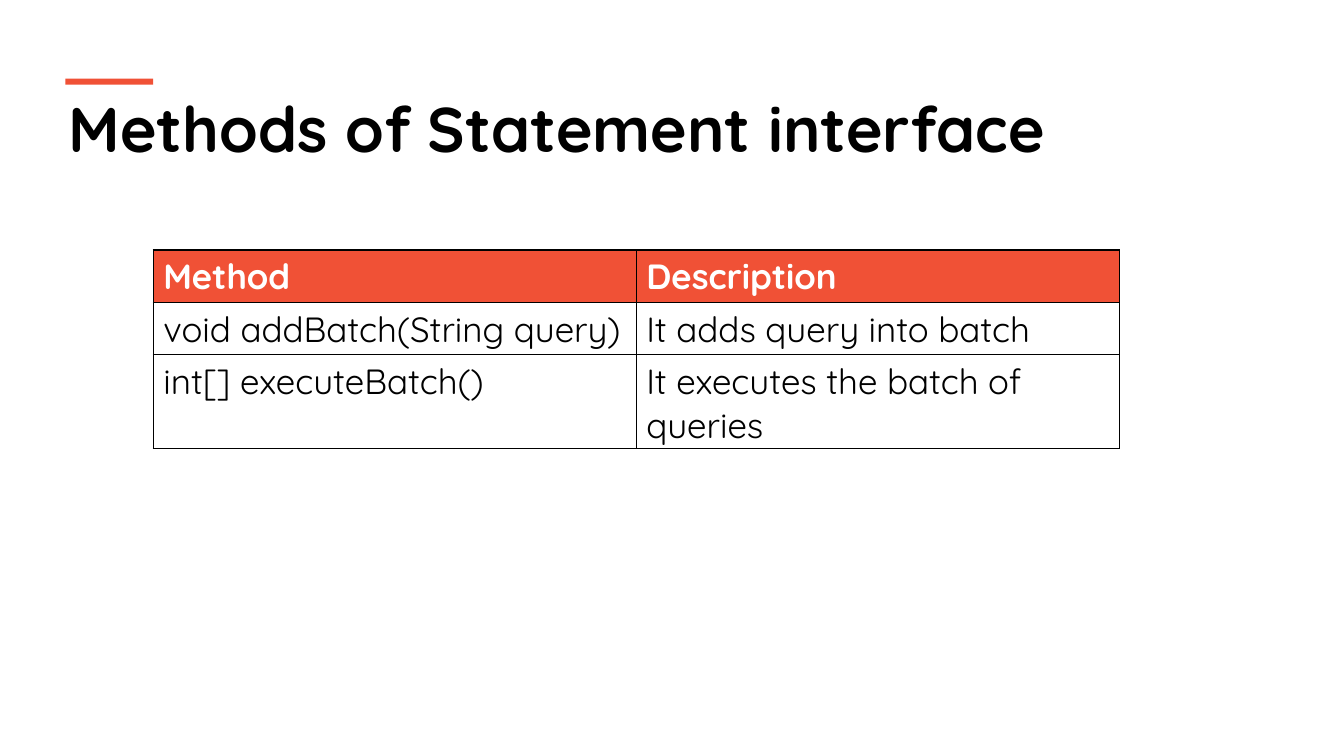
from dataclasses import dataclass

from lxml.etree import SubElement
from pptx import Presentation
from pptx.dml.color import RGBColor as Color
from pptx.enum.shapes import MSO_SHAPE as Shape
from pptx.enum.text import MSO_ANCHOR as Anchor
from pptx.oxml.ns import qn
from pptx.util import Pt

EMU_PER_PX = 9144
BORDER_SIDES = ("a:lnL", "a:lnR", "a:lnT", "a:lnB")
ROW_HEIGHTS = (52, 52, 93)
METHODS = (
    ("Method", "Description"),
    ("void addBatch(String query)", "It adds query into batch"),
    ("int[] executeBatch()", "It executes the batch of queries"),
)


@dataclass(frozen=True)
class Theme:
    """Colours, font and type sizes of the slide."""

    accent: str = "F05136"
    ink: str = "000000"
    paper: str = "FFFFFF"
    font: str = "Quicksand"
    title_size: int = 45
    table_size: int = 25
    border_width: int = 1


THEME = Theme()


def px(*lengths):
    """Turn pixel lengths into EMU."""
    return [length * EMU_PER_PX for length in lengths]


def set_values(target, values):
    """Set every attribute named in a dict of format values."""
    for name, value in values.items():
        setattr(target, name, value)


def paint(target, color):
    """Give a shape, cell or background a solid fill."""
    target.fill.solid()
    target.fill.fore_color.rgb = Color.from_string(color)


def write(text_frame, text, size, color, bold):
    """Write one formatted line of text into a frame."""
    run = text_frame.paragraphs[0].add_run()
    run.text = text
    set_values(run.font, {"name": THEME.font, "size": Pt(size), "bold": bold})
    run.font.color.rgb = Color.from_string(color)


def add_title(slide, text, box):
    """Add the bold slide title."""
    text_frame = slide.shapes.add_textbox(*px(*box)).text_frame
    set_values(text_frame, {"word_wrap": True, "vertical_anchor": Anchor.TOP})
    write(text_frame, text, THEME.title_size, THEME.ink, True)


def add_accent_bar(slide, box):
    """Add the coloured bar above the title."""
    bar = slide.shapes.add_shape(Shape.RECTANGLE, *px(*box))
    bar.shadow.inherit = False
    paint(bar, THEME.accent)
    bar.line.fill.background()


def add_borders(cell):
    """Draw a thin line on all four sides of a cell."""
    properties = cell._tc.get_or_add_tcPr()
    for side in BORDER_SIDES:
        line = SubElement(properties, qn(side), w=str(Pt(THEME.border_width)))
        fill = SubElement(line, qn("a:solidFill"))
        SubElement(fill, qn("a:srgbClr"), val=THEME.ink)


def fill_cell(cell, text, is_header):
    """Format one table cell and write its text."""
    add_borders(cell)
    paint(cell, THEME.accent if is_header else THEME.paper)
    set_values(cell, {"margin_bottom": 0, "vertical_anchor": Anchor.TOP})
    color = THEME.paper if is_header else THEME.ink
    write(cell.text_frame, text, THEME.table_size, color, is_header)


def add_method_table(slide, rows, left, top, column_width):
    """Add a table with a header row and equal columns."""
    columns = len(rows[0])
    box = px(left, top, column_width * columns, sum(ROW_HEIGHTS))
    table = slide.shapes.add_table(len(rows), columns, *box).table
    for column in table.columns:
        column.width = px(column_width)[0]
    for row_index, texts in enumerate(rows):
        table.rows[row_index].height = px(ROW_HEIGHTS[row_index])[0]
        for column_index, text in enumerate(texts):
            fill_cell(table.cell(row_index, column_index), text, row_index == 0)


def main():
    """Build the slide and save it."""
    presentation = Presentation()
    width, height = px(1333, 750)
    set_values(presentation, {"slide_width": width, "slide_height": height})
    slide = presentation.slides.add_slide(presentation.slide_layouts[6])
    paint(slide.background, THEME.paper)
    add_title(slide, "Methods of Statement interface", (58, 84, 1218, 86))
    add_accent_bar(slide, (65, 78, 87, 6))
    add_method_table(slide, METHODS, left=152, top=248, column_width=479)
    presentation.save("out.pptx")


if __name__ == "__main__":
    main()
